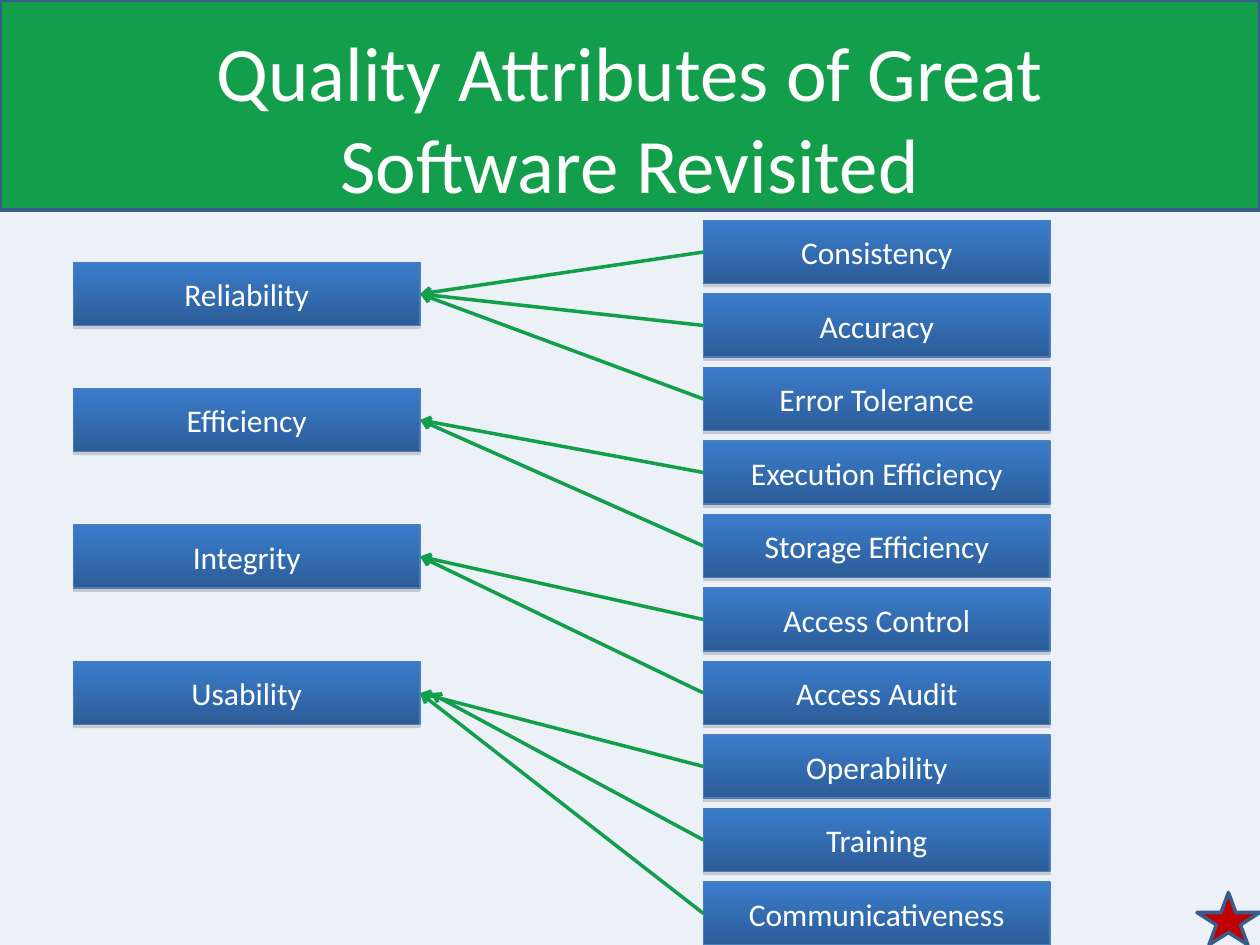
from dataclasses import dataclass

from lxml.etree import SubElement
from pptx import Presentation
from pptx.dml.color import RGBColor
from pptx.enum.shapes import MSO_CONNECTOR, MSO_SHAPE
from pptx.enum.text import MSO_ANCHOR, PP_ALIGN
from pptx.oxml.ns import qn
from pptx.shapes.autoshape import Shape
from pptx.shapes.connector import Connector
from pptx.slide import Slide
from pptx.util import Inches, Length, Pt


@dataclass(frozen=True)
class Theme:
    """Colours, type and line sizes of the slide."""
    page: str = "ECF1F8"
    green: str = "129E4B"
    frame: str = "385D8A"
    box_top: str = "3A7CCB"
    box_bottom: str = "2C5D98"
    box_edge: str = "4A7EBB"
    shadow: str = "808080"
    star: str = "C00000"
    text: str = "FFFFFF"
    font: str = "Calibri"
    title_size: int = 44
    label_size: int = 18
    heavy: float = 2
    thin: float = 0.75


@dataclass(frozen=True)
class Detail:
    """A criterion on the right; gap keeps its arrow short of the quality."""
    label: str
    gap: int = 0


@dataclass(frozen=True)
class Quality:
    """A quality on the left with the criteria that lead to it."""
    label: str
    row: int
    details: tuple[Detail, ...]


THEME = Theme()
# The grid has twelve cells to the inch: 120 columns by 90 rows.
COLUMNS, ROWS = 120, 90
BOX_WIDTH, BOX_HEIGHT = 33, 6
QUALITY_COLUMN, DETAIL_COLUMN = 7, 67
DETAIL_TOP, DETAIL_STEP = 21, 7
LEFT_SIDE, RIGHT_SIDE = 1, 3

QUALITIES = (
    Quality("Reliability", 25, (Detail("Consistency"), Detail("Accuracy"),
                                Detail("Error Tolerance"))),
    Quality("Efficiency", 37, (Detail("Execution Efficiency"),
                               Detail("Storage Efficiency"))),
    Quality("Integrity", 50, (Detail("Access Control"), Detail("Access Audit"))),
    Quality("Usability", 63, (Detail("Operability"), Detail("Training", gap=1),
                              Detail("Communicativeness"))),
)


def cells(count: float) -> Length:
    """Turn grid cells into a length."""
    return Inches(count / 12)


def colour(code: str) -> RGBColor:
    """Turn a hex code into a colour."""
    return RGBColor.from_string(code)


def write(shape: Shape, text: str, size: int) -> None:
    """Put centred text into a shape."""
    frame = shape.text_frame
    frame.word_wrap = True
    frame.vertical_anchor = MSO_ANCHOR.MIDDLE
    frame.text = text
    para = frame.paragraphs[0]
    para.alignment = PP_ALIGN.CENTER
    para.font.name = THEME.font
    para.font.size = Pt(size)
    para.font.color.rgb = colour(THEME.text)


def add_plain(page: Slide, kind: MSO_SHAPE, column: float, row: float,
              width: float, height: float, fill: str) -> Shape:
    """Add a flat shape with the heavy frame line."""
    shape = page.shapes.add_shape(
        kind, cells(column), cells(row), cells(width), cells(height))
    shape.shadow.inherit = False
    shape.fill.solid()
    shape.fill.fore_color.rgb = colour(fill)
    shape.line.color.rgb = colour(THEME.frame)
    shape.line.width = Pt(THEME.heavy)
    return shape


def add_shadow(shape: Shape) -> None:
    """Give a shape a hard shadow just below it."""
    shape.shadow.inherit = False
    effects = shape.element.spPr.find(qn("a:effectLst"))
    shadow = SubElement(effects, qn("a:outerShdw"), blurRad="0",
                        dist=str(Pt(1.8)), dir="5400000", rotWithShape="0")
    tint = SubElement(shadow, qn("a:srgbClr"), val=THEME.shadow)
    SubElement(tint, qn("a:alpha"), val="35000")


def add_box(page: Slide, label: str, column: int, row: int) -> Shape:
    """Add a labelled box with a vertical gradient."""
    box = page.shapes.add_shape(
        MSO_SHAPE.RECTANGLE, cells(column), cells(row),
        cells(BOX_WIDTH), cells(BOX_HEIGHT))
    box.fill.gradient()
    box.fill.gradient_angle = 270
    for stop, code in zip(box.fill.gradient_stops,
                          (THEME.box_top, THEME.box_bottom)):
        stop.color.rgb = colour(code)
    box.line.color.rgb = colour(THEME.box_edge)
    box.line.width = Pt(THEME.thin)
    add_shadow(box)
    write(box, label, THEME.label_size)
    return box


def add_arrow(page: Slide, start: Shape, end: Shape, gap: int) -> Connector:
    """Draw an arrow from a criterion to its quality."""
    arrow = page.shapes.add_connector(
        MSO_CONNECTOR.STRAIGHT, start.left, start.top + start.height // 2,
        end.left + end.width + cells(gap), end.top + end.height // 2)
    arrow.begin_connect(start, LEFT_SIDE)
    if not gap:
        arrow.end_connect(end, RIGHT_SIDE)
    arrow.line.color.rgb = colour(THEME.green)
    arrow.line.width = Pt(THEME.heavy)
    SubElement(arrow.line._get_or_add_ln(), qn("a:tailEnd"), type="arrow")
    SubElement(arrow.element.spPr, qn("a:effectLst"))
    return arrow


def add_header(page: Slide) -> None:
    """Add the green band and the title on it."""
    add_plain(page, MSO_SHAPE.RECTANGLE, 0, 0, COLUMNS, 20, THEME.green)
    title = page.shapes.add_textbox(
        cells(6), Inches(0.3), cells(COLUMNS - 12), cells(15))
    write(title, "Quality Attributes of Great Software Revisited",
          THEME.title_size)


def add_tree(page: Slide) -> None:
    """Add all qualities, their criteria and the arrows between them."""
    row = DETAIL_TOP
    for quality in QUALITIES:
        target = add_box(page, quality.label, QUALITY_COLUMN, quality.row)
        for detail in quality.details:
            source = add_box(page, detail.label, DETAIL_COLUMN, row)
            add_arrow(page, source, target, detail.gap)
            row += DETAIL_STEP


def main() -> None:
    """Build and save the slide."""
    deck = Presentation()
    deck.slide_width, deck.slide_height = cells(COLUMNS), cells(ROWS)
    page = deck.slides.add_slide(deck.slide_layouts[6])
    page.background.fill.solid()
    page.background.fill.fore_color.rgb = colour(THEME.page)
    add_header(page)
    add_tree(page)
    add_plain(page, MSO_SHAPE.STAR_5_POINT, COLUMNS - 6, ROWS - 5, 6, 5,
              THEME.star)
    deck.save("out.pptx")


main()
